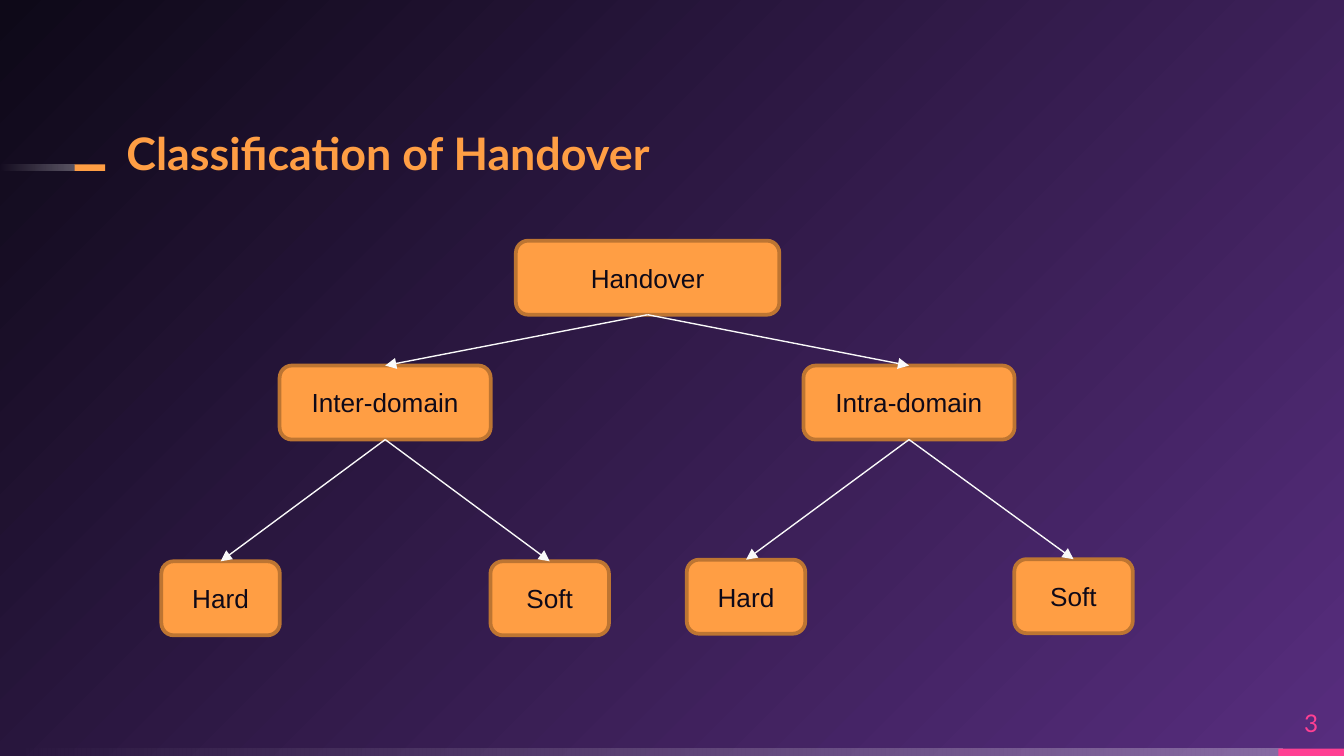
from dataclasses import dataclass

from pptx import Presentation
from pptx.dml.color import RGBColor
from pptx.enum.shapes import MSO_CONNECTOR, MSO_SHAPE
from pptx.enum.text import MSO_ANCHOR, MSO_AUTO_SIZE, PP_ALIGN
from pptx.oxml import parse_xml
from pptx.oxml.ns import nsdecls, qn
from pptx.util import Cm, Pt


@dataclass(frozen=True)
class Theme:
    night: str = "0E0918"
    purple: str = "572D7E"
    orange: str = "FF9E44"
    brown: str = "BD7532"
    pink: str = "FF4093"
    white: str = "FFFFFF"
    arrow: str = "F9F9F9"
    heading_font: str = "Lato"
    body_font: str = "Arial"
    title_size: float = 24
    node_size: float = 14
    number_size: float = 13


THEME = Theme()
BOX_HEIGHT = 1.4
BOX_TOP, BOX_BOTTOM = 0, 2  # connection sites
NO_INSETS = dict(margin_left=0, margin_top=0, margin_right=0, margin_bottom=0)

# Name: label, centre, top, width (cm), parent
NODES = {
    "root": ("Handover", 12.24, 4.55, 4.98, None),
    "intra": ("Intra-domain", 17.18, 6.91, 3.99, "root"),
    "inter": ("Inter-domain", 7.28, 6.91, 3.99, "root"),
    "inter hard": ("Hard", 4.17, 10.61, 2.24, "inter"),
    "inter soft": ("Soft", 10.39, 10.61, 2.24, "inter"),
    "intra hard": ("Hard", 14.1, 10.58, 2.24, "intra"),
    "intra soft": ("Soft", 20.29, 10.57, 2.24, "intra"),
}


def color(value):
    return RGBColor.from_string(value)


def set_attributes(target, values):
    for name, value in values.items():
        setattr(target, name, value)


def set_gradient(fill, element, stops, direction):
    """Fill with (percent, colour, opacity) stops and a direction tag."""
    fill.gradient()
    gradient = element.find(".//" + qn("a:gradFill"))
    stop_tags = "".join(
        f'<a:gs pos="{position * 1000}"><a:srgbClr val="{value}">'
        f'<a:alpha val="{opacity * 1000}"/></a:srgbClr></a:gs>'
        for position, value, opacity in stops)
    gradient.getparent().replace(gradient, parse_xml(
        f'<a:gradFill rotWithShape="1" {nsdecls("a")}>'
        f"<a:gsLst>{stop_tags}</a:gsLst>{direction}</a:gradFill>"))


def write_text(frame, text, font, size, value, align, bold=False, **frame_format):
    set_attributes(frame, dict(word_wrap=True, auto_size=MSO_AUTO_SIZE.NONE) | frame_format)
    paragraph = frame.paragraphs[0]
    paragraph.alignment = align
    run = paragraph.add_run()
    run.text = text
    set_attributes(run.font, dict(name=font, size=Pt(size), bold=bold))
    run.font.color.rgb = color(value)
    return paragraph


def add_background(slide):
    stops = [(0, THEME.purple, 100), (100, THEME.night, 100)]
    set_gradient(slide.background.fill, slide.element, stops,
                 '<a:path path="circle"><a:fillToRect l="100000" t="100000"/></a:path>')


def add_bar(slide, left, top, width, height, value=None):
    """Add a solid bar, or one that fades out to the left without a colour."""
    bar = slide.shapes.add_shape(MSO_SHAPE.RECTANGLE, Cm(left), Cm(top), Cm(width), Cm(height))
    bar.shadow.inherit = False
    bar.line.fill.background()
    if value:
        bar.fill.solid()
        bar.fill.fore_color.rgb = color(value)
    else:
        stops = [(0, THEME.white, 30), (100, THEME.white, 0)]
        set_gradient(bar.fill, bar.element, stops, '<a:lin ang="10800000" scaled="0"/>')


def add_title(slide, text):
    title = slide.shapes.title
    set_attributes(title, dict(left=Cm(2.39), top=Cm(2.31), width=Cm(14.73), height=Cm(1.09)))
    paragraph = write_text(title.text_frame, text, THEME.heading_font, THEME.title_size,
                           THEME.orange, PP_ALIGN.LEFT, bold=True,
                           vertical_anchor=MSO_ANCHOR.BOTTOM, **NO_INSETS)
    paragraph.line_spacing = 0.9


def add_page_number(slide, number):
    box = slide.shapes.add_textbox(Cm(24.16), Cm(13.18), Cm(1.24), Cm(0.97))
    write_text(box.text_frame, number, THEME.heading_font, THEME.number_size, THEME.pink,
               PP_ALIGN.CENTER, vertical_anchor=MSO_ANCHOR.MIDDLE, **NO_INSETS)


def add_node(slide, label, center, top, width):
    node = slide.shapes.add_shape(MSO_SHAPE.ROUNDED_RECTANGLE, Cm(center - width / 2), Cm(top),
                                  Cm(width), Cm(BOX_HEIGHT))
    node.shadow.inherit = False
    node.fill.solid()
    node.fill.fore_color.rgb = color(THEME.orange)
    node.line.color.rgb = color(THEME.brown)
    node.line.width = Pt(2)
    write_text(node.text_frame, label, THEME.body_font, THEME.node_size, THEME.night,
               PP_ALIGN.CENTER, vertical_anchor=MSO_ANCHOR.MIDDLE)
    return node


def add_arrow(slide, parent, child):
    arrow = slide.shapes.add_connector(MSO_CONNECTOR.STRAIGHT, 0, 0, 0, 0)
    arrow.begin_connect(parent, BOX_BOTTOM)
    arrow.end_connect(child, BOX_TOP)
    arrow.line.color.rgb = color(THEME.arrow)
    arrow.line.width = Pt(0.75)
    arrow.line._get_or_add_ln().append(parse_xml(f'<a:tailEnd type="triangle" {nsdecls("a")}/>'))
    arrow.element.spPr.append(parse_xml(f'<a:effectLst {nsdecls("a")}/>'))


def main():
    presentation = Presentation()
    presentation.slide_width, presentation.slide_height = Cm(25.4), Cm(14.29)
    slide = presentation.slides.add_slide(presentation.slide_layouts[5])

    # Background and accent bars
    add_background(slide)
    add_bar(slide, 0, 14.15, 24.23, 0.14)
    add_bar(slide, 24.16, 14.15, 1.24, 0.14, THEME.pink)
    add_bar(slide, 0, 3.11, 1.41, 0.12)
    add_bar(slide, 1.41, 3.11, 0.58, 0.12, THEME.orange)

    # Title and page number
    add_title(slide, "Classification of Handover")
    add_page_number(slide, "3")

    # Tree: boxes first, then arrows from parent to child
    boxes = {name: add_node(slide, *values) for name, (*values, _) in NODES.items()}
    for name, (*_, parent) in NODES.items():
        if parent:
            add_arrow(slide, boxes[parent], boxes[name])

    presentation.save("out.pptx")


if __name__ == "__main__":
    main()
